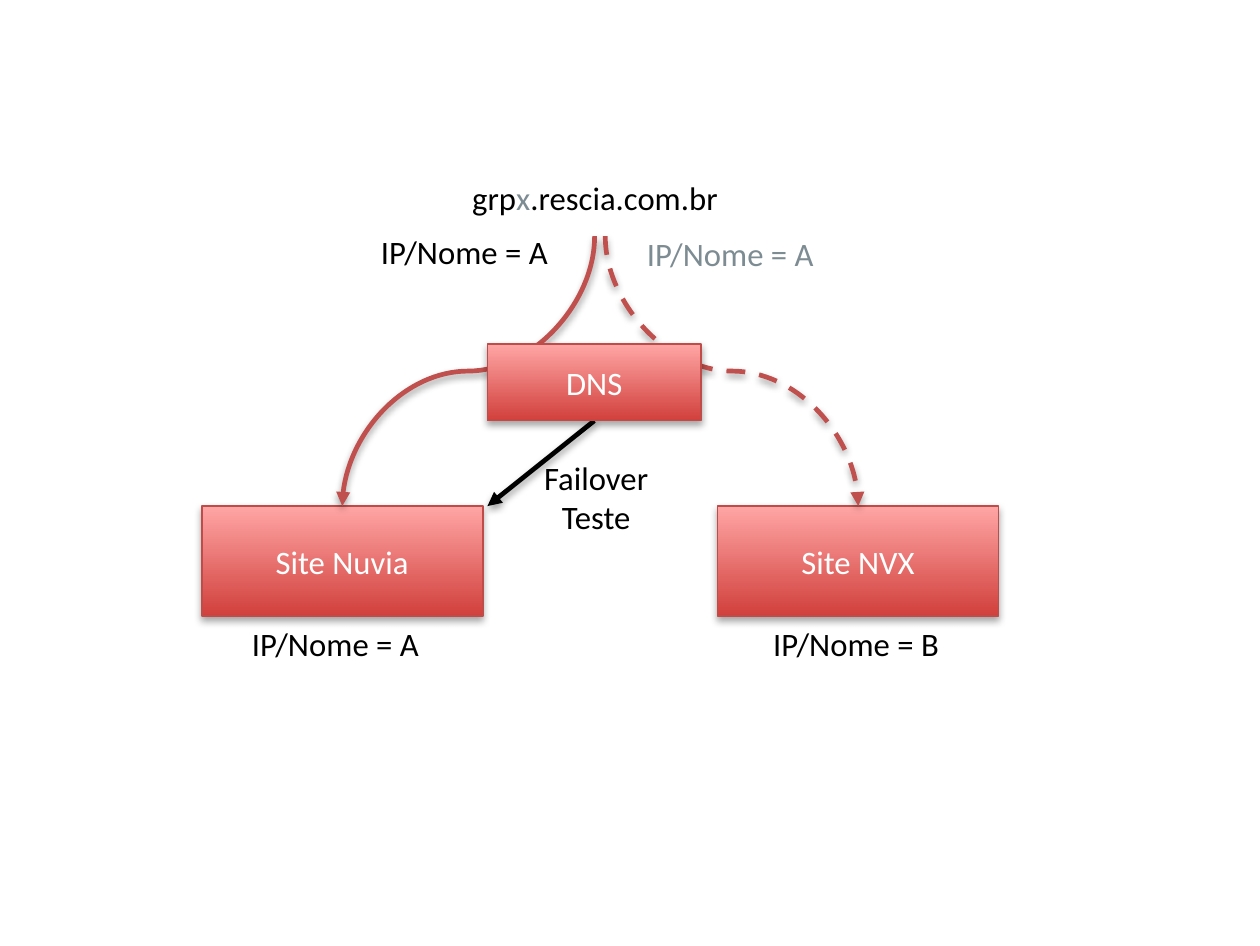
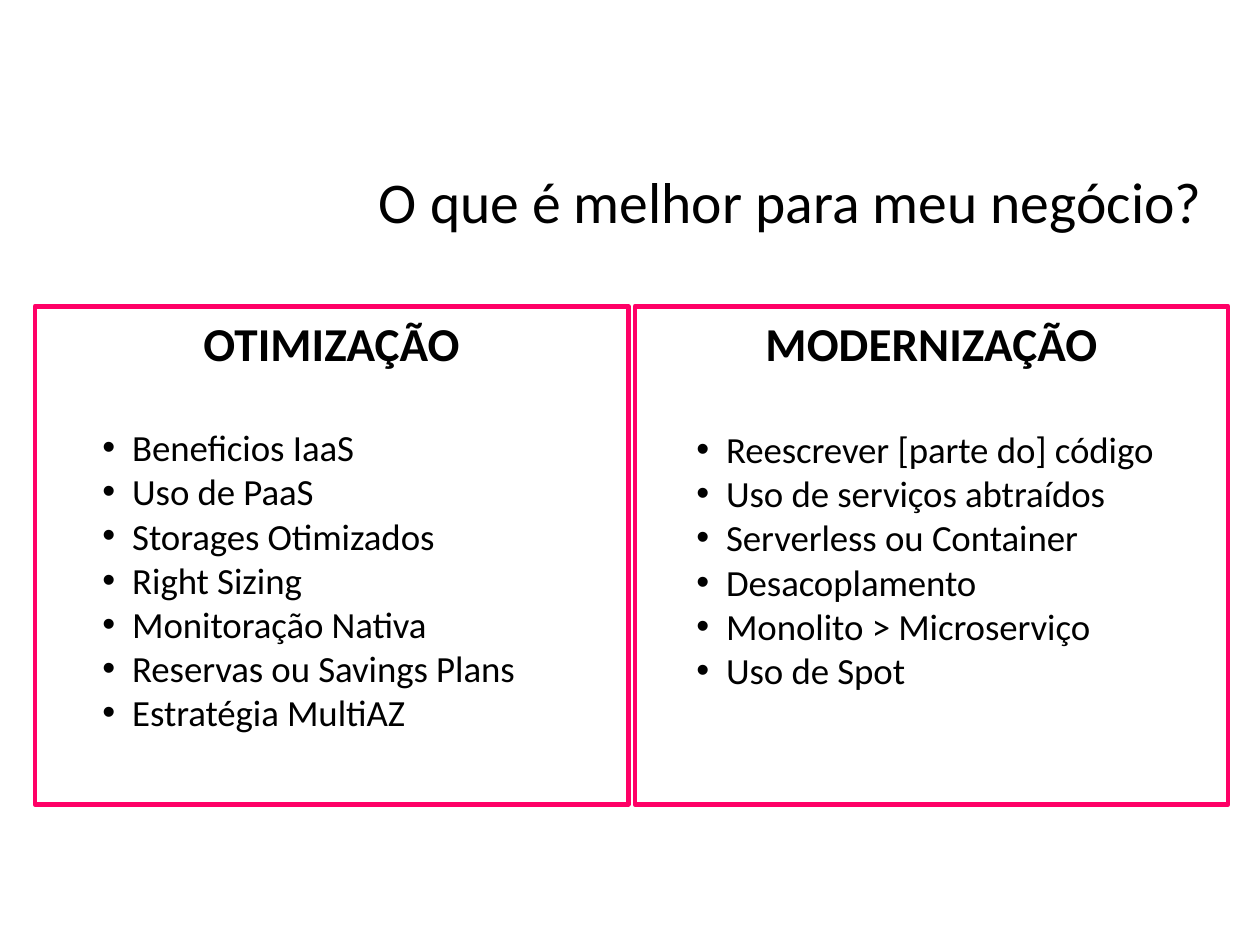
from lxml.etree import SubElement
from pptx import Presentation
from pptx.dml.color import RGBColor
from pptx.enum.dml import MSO_LINE
from pptx.enum.shapes import MSO_CONNECTOR as CONN, MSO_SHAPE as SHAPE
from pptx.enum.text import MSO_ANCHOR as ANCHOR, PP_ALIGN as ALIGN
from pptx.oxml.ns import qn
from pptx.util import Cm, Pt

FONT = "Calibri"
COLORS = {
    "black": "000000", "white": "FFFFFF", "grey": "7D8C92",
    "box_dark": "D1403C", "box_light": "FFA6A5", "box_line": "BF4C48",
    "curve": "C0504D", "panel_line": "FF0066",
}


def rgb(name):
    return RGBColor.from_string(COLORS[name])


def style_font(font, size, color="black", bold=False):
    font.name, font.size, font.bold = FONT, Pt(size), bold
    font.color.rgb = rgb(color)


def add_shadow(s, alpha, dist):
    effects = s._element.spPr.find(qn("a:effectLst"))
    if effects is None:
        effects = SubElement(s._element.spPr, qn("a:effectLst"))
    shadow = SubElement(effects, qn("a:outerShdw"), blurRad="40000", dist=str(dist),
                        dir="5400000", rotWithShape="0")
    color = SubElement(shadow, qn("a:srgbClr"), val=COLORS["black"])
    SubElement(color, qn("a:alpha"), val=str(alpha * 1000))


def add_text(slide, box, lines, size, color="black", align=ALIGN.LEFT, wrap=False):
    """Each line is a list of (text, color) runs or a plain string."""
    tf = slide.shapes.add_textbox(*map(Cm, box)).text_frame
    tf.word_wrap = wrap
    for i, line in enumerate(lines):
        p = tf.paragraphs[0] if i == 0 else tf.add_paragraph()
        p.alignment = align
        for text, run_color in [(line, color)] if isinstance(line, str) else line:
            r = p.add_run()
            r.text = text
            style_font(r.font, size, run_color)
    return tf


def add_rect(slide, box, text, size, color="black", bold=False):
    s = slide.shapes.add_shape(SHAPE.RECTANGLE, *map(Cm, box))
    s.shadow.inherit = False
    p = s.text_frame.paragraphs[0]
    p.text, p.alignment = text, ALIGN.CENTER
    style_font(p.runs[0].font, size, color, bold)
    return s


def add_node(slide, box, text):
    s = add_rect(slide, box, text, 14, "white")
    s.text_frame.vertical_anchor = ANCHOR.MIDDLE
    s.fill.gradient()
    s.fill.gradient_angle = 90
    for stop, name in zip(s.fill.gradient_stops, ("box_dark", "box_light")):
        stop.color.rgb = rgb(name)
    s.line.color.rgb = rgb("box_line")
    s.line.width = Pt(0.75)
    add_shadow(s, 35, 23000)


def add_arrow(slide, kind, start, end, color, dash=None):
    c = slide.shapes.add_connector(kind, *map(Cm, start + end))
    c.line.color.rgb = rgb(color)
    c.line.width = Pt(2)
    if dash:
        c.line.dash_style = dash
    SubElement(c._element.spPr.find(qn("a:ln")), qn("a:tailEnd"), type="triangle")
    add_shadow(c, 38, 20000)
    return c


def add_drop_curve(slide, start, end, dash=None):
    """Curve that leaves and arrives vertically: a quarter-turned connector."""
    (x1, y1), (x2, y2) = start, end
    cx, cy = (x1 + x2) / 2, (y1 + y2) / 2
    half_w, half_h = (y2 - y1) / 2, abs(x2 - x1) / 2
    to_left = x2 < x1
    if not to_left:
        half_w = -half_w
    c = add_arrow(slide, CONN.CURVE, (cx - half_w, cy - half_h),
                  (cx + half_w, cy + half_h), "curve", dash)
    c._element.spPr.find(qn("a:xfrm")).set("rot", str((90 if to_left else 270) * 60000))


def failover_diagram(slide, left, top):
    def at(x, y, *size):
        return (left + x, top + y, *size)

    site_w, site_h, site_y = 4.25, 1.66, 5.08
    site_xs = (0, 7.8)
    dns_x, dns_y, dns_w, dns_h = 4.32, 2.63, 3.23, 1.16

    # Sites
    for x, name in zip(site_xs, ("Site Nuvia", "Site NVX")):
        add_node(slide, at(x, site_y, site_w, site_h), name)

    # Routes from the address to the sites
    for x, site_x, dash in zip((5.94, 6.1), site_xs, (None, MSO_LINE.DASH)):
        add_drop_curve(slide, at(x, 1), at(site_x + site_w / 2, site_y), dash)

    # Failover test
    add_arrow(slide, CONN.STRAIGHT, at(dns_x + dns_w / 2, dns_y + dns_h),
              at(dns_x, site_y), "black")
    add_text(slide, at(4.91, 4.23, 2.11, 1.45), ["Failover", "Teste"], 14,
             align=ALIGN.CENTER)

    # Address and name labels
    address = [("grp", "black"), ("x", "grey"), (".rescia.com.br", "black")]
    add_text(slide, at(3.84, 0, 4.24, 0.86), [address], 14)
    for x, y, text, color in (
        (0.51, 6.74, "IP/Nome = A", "black"),
        (8.39, 6.74, "IP/Nome = B", "black"),
        (2.46, 0.81, "IP/Nome = A", "black"),
        (6.48, 0.84, "IP/Nome = A", "grey"),
    ):
        add_text(slide, at(x, y, 3.05, 0.86), [text], 14, color)

    # DNS, in front of the routes
    add_node(slide, at(dns_x, dns_y, dns_w, dns_h), "DNS")


def slide_title(slide, box, text):
    tf = add_text(slide, box, [text], 24.75, wrap=True)
    tf.vertical_anchor = ANCHOR.MIDDLE
    tf.margin_left = tf.margin_right = Cm(0.14)
    tf.margin_top = tf.margin_bottom = Cm(0.07)
    tf.paragraphs[0].line_spacing = 0.9


def topic_panel(slide, box, heading, items, list_offset):
    left, top = box[:2]
    # Frame with heading
    s = add_rect(slide, box, heading, 20.25, bold=True)
    s.text_frame.vertical_anchor = ANCHOR.TOP
    s.fill.solid()
    s.fill.fore_color.rgb = rgb("white")
    s.line.color.rgb = rgb("panel_line")
    s.line.width = Pt(2)

    # Bulleted list
    dx, dy, w, h = list_offset
    tf = add_text(slide, (left + dx, top + dy, w, h), items, 15.75)
    indent = Cm(0.45)
    for p in tf.paragraphs:
        pPr = p._p.get_or_add_pPr()
        pPr.set("marL", str(indent))
        pPr.set("indent", str(-indent))
        SubElement(pPr, qn("a:buFont"), typeface="Arial")
        SubElement(pPr, qn("a:buChar"), char="•")


PANELS = (
    ("OTIMIZAÇÃO", (0.77, 1.67, 6.81, 4.98),
     ["Beneficios IaaS", "Uso de PaaS", "Storages Otimizados", "Right Sizing",
      "Monitoração Nativa", "Reservas ou Savings Plans", "Estratégia MultiAZ"]),
    ("MODERNIZAÇÃO", (0.68, 1.7, 7.49, 4.29),
     ["Reescrever [parte do] código", "Uso de serviços abtraídos",
      "Serverless ou Container", "Desacoplamento", "Monolito > Microserviço",
      "Uso de Spot"]),
)


def main():
    prs = Presentation()
    prs.slide_width, prs.slide_height = Cm(19.05), Cm(14.3)
    blank = prs.slide_layouts[6]

    # Slide 1: failover between sites
    failover_diagram(prs.slides.add_slide(blank), 3.05, 2.57)

    # Slide 2: two ways forward
    slide = prs.slides.add_slide(blank)
    slide_title(slide, (5.59, 2.26, 13, 1.68), "O que é melhor para meu negócio?")
    panel_w, gap = 8.97, 0.1
    for i, (heading, list_offset, items) in enumerate(PANELS):
        box = (0.53 + i * (panel_w + gap), 4.63, panel_w, 7.53)
        topic_panel(slide, box, heading, items, list_offset)

    prs.save("out.pptx")


if __name__ == "__main__":
    main()
